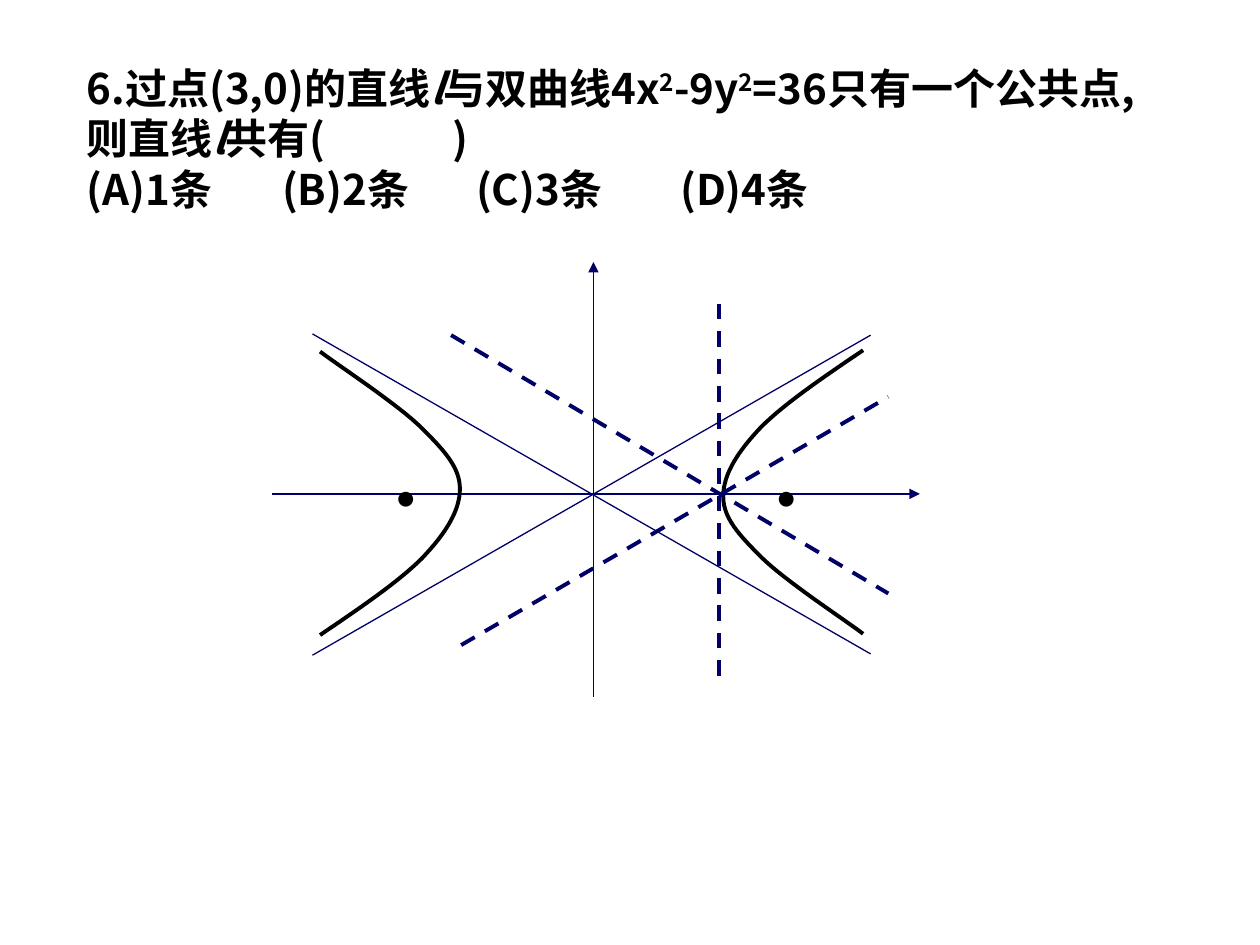
from dataclasses import dataclass

from lxml.etree import SubElement
from pptx import Presentation
from pptx.dml.color import RGBColor
from pptx.enum.dml import MSO_LINE
from pptx.enum.shapes import MSO_CONNECTOR
from pptx.enum.text import MSO_ANCHOR, MSO_AUTO_SIZE
from pptx.oxml.ns import qn
from pptx.util import Inches, Pt


@dataclass(frozen=True)
class Theme:
    ink: RGBColor = RGBColor(0x00, 0x00, 0x00)
    navy: RGBColor = RGBColor(0x00, 0x00, 0x66)
    text_font: str = "Noto Sans CJK SC"
    dot_font: str = "Calibri"
    size: Pt = Pt(24)
    thin: Pt = Pt(0.75)
    axis: Pt = Pt(1)
    thick: Pt = Pt(2.25)


THEME = Theme()

# Each run is (text, style); style is "", "italic" or "super"
QUESTION = [
    [("6.过点(3,0)的直线", ""), ("l", "italic"), ("与双曲线4x", ""),
     ("2", "super"), ("-9y", ""), ("2", "super"), ("=36只有一个公共点,", "")],
    [("则直线", ""), ("l", "italic"), ("共有(\t)", "")],
    [("(A)1条\t(B)2条\t(C)3条\t(D)4条", "")],
]
TAB_STOPS = [[], [2.9], [1.55, 3.09, 4.71]]

# Diagram geometry, measured from the crossing of the axes (y points down)
AXES = [((0, 1.61), (0, -1.84)), ((-2.55, 0), (2.59, 0))]
ASYMPTOTES = [((-2.23, -1.27), (2.2, 1.27)), ((2.2, -1.26), (-2.23, 1.28))]
SOLUTIONS = [((-1.05, 1.2), (2.34, -0.77)), ((-1.13, -1.26), (2.34, 0.79)),
             ((1, -1.51), (1, 1.48))]
FOCI = [(-1.67, -0.24, 0.37, 0.5, False), (1.35, -0.24, 0.43, 0.67, True)]
BRANCH = [(2.14, -1.14), (1.83, -0.93), (1.52, -0.72), (1.33, -0.53),
          (1.15, -0.34), (1.03, -0.16), (1.03, 0.02), (1.03, 0.19),
          (1.15, 0.32), (1.33, 0.5), (1.52, 0.69), (2.01, 1.01), (2.14, 1.11)]


def add_tabs(p, stops):
    if stops:
        tabs = SubElement(p._p.get_or_add_pPr(), qn("a:tabLst"))
        for stop in stops:
            SubElement(tabs, qn("a:tab"), pos=str(Inches(stop)), algn="l")


def style_run(r, font, bold=False):
    r.font.name = font
    r.font.size = THEME.size
    r.font.bold = bold
    r.font.color.rgb = THEME.ink
    SubElement(r._r.get_or_add_rPr(), qn("a:ea"), typeface=font)


def add_question(slide, left, top, width, height):
    tf = slide.shapes.add_textbox(left, top, width, height).text_frame
    tf.word_wrap = True
    tf.auto_size = MSO_AUTO_SIZE.SHAPE_TO_FIT_TEXT
    tf.vertical_anchor = MSO_ANCHOR.MIDDLE
    for i, (runs, stops) in enumerate(zip(QUESTION, TAB_STOPS)):
        p = tf.paragraphs[0] if i == 0 else tf.add_paragraph()
        add_tabs(p, stops)
        for text, style in runs:
            r = p.add_run()
            r.text = text
            style_run(r, THEME.text_font, bold=True)
            if style == "italic":
                r.font.italic = True
            elif style == "super":
                r._r.get_or_add_rPr().set("baseline", "30000")


def add_line(slide, start, end, width, dash=None, arrow=False):
    line = slide.shapes.add_connector(MSO_CONNECTOR.STRAIGHT, *start, *end)
    line.line.color.rgb = THEME.navy
    line.line.width = width
    if dash:
        line.line.dash_style = dash
    if arrow:
        SubElement(line.line._get_or_add_ln(), qn("a:tailEnd"), type="triangle")
    SubElement(line._element.spPr, qn("a:effectLst"))


def bezier_points(controls, steps=16):
    """Sample a chain of cubic curves that share their end points."""
    points = [controls[0]]
    for i in range(0, len(controls) - 1, 3):
        piece = controls[i:i + 4]
        for k in range(1, steps + 1):
            t = k / steps
            weights = ((1 - t) ** 3, 3 * t * (1 - t) ** 2,
                       3 * t ** 2 * (1 - t), t ** 3)
            points.append(tuple(sum(w * c[axis] for w, c in zip(weights, piece))
                                for axis in (0, 1)))
    return points


def add_curve(slide, points):
    builder = slide.shapes.build_freeform(*points[0])
    builder.add_line_segments(points[1:], close=False)
    sp = builder.convert_to_shape()
    sp.shadow.inherit = False
    sp.fill.background()
    sp.line.color.rgb = THEME.ink
    sp.line.width = THEME.thick


def add_dot(slide, left, top, width, height, wrap):
    tf = slide.shapes.add_textbox(left, top, width, height).text_frame
    tf.word_wrap = wrap
    tf.auto_size = MSO_AUTO_SIZE.SHAPE_TO_FIT_TEXT
    tf.text = "•"
    style_run(tf.paragraphs[0].runs[0], THEME.dot_font)


def add_hyperbola(slide, left, top):
    def at(point):
        return left + Inches(2.55 + point[0]), top + Inches(1.84 + point[1])

    # Axes and foci
    for start, end in AXES:
        add_line(slide, at(start), at(end), THEME.axis, arrow=True)
    for x, y, w, h, wrap in FOCI:
        add_dot(slide, *at((x, y)), Inches(w), Inches(h), wrap)

    # Asymptotes
    for start, end in ASYMPTOTES:
        add_line(slide, at(start), at(end), THEME.thin)

    # Right branch, then the same branch turned by half a circle
    right = bezier_points(BRANCH)
    left_branch = [(-0.03 - x, -0.02 - y) for x, y in right]
    for branch in (right, left_branch):
        add_curve(slide, [at(point) for point in branch])

    # Lines through (3,0) that meet the curve once
    for start, end in SOLUTIONS:
        add_line(slide, at(start), at(end), THEME.thick, dash=MSO_LINE.DASH)


def main():
    prs = Presentation()
    prs.slide_width, prs.slide_height = Inches(10), Inches(7.5)
    slide = prs.slides.add_slide(prs.slide_layouts[6])
    add_question(slide, Inches(0.59), Inches(0.44), Inches(8.9), Inches(1.31))
    add_hyperbola(slide, Inches(2.16), Inches(2.08))
    prs.save("out.pptx")


if __name__ == "__main__":
    main()
